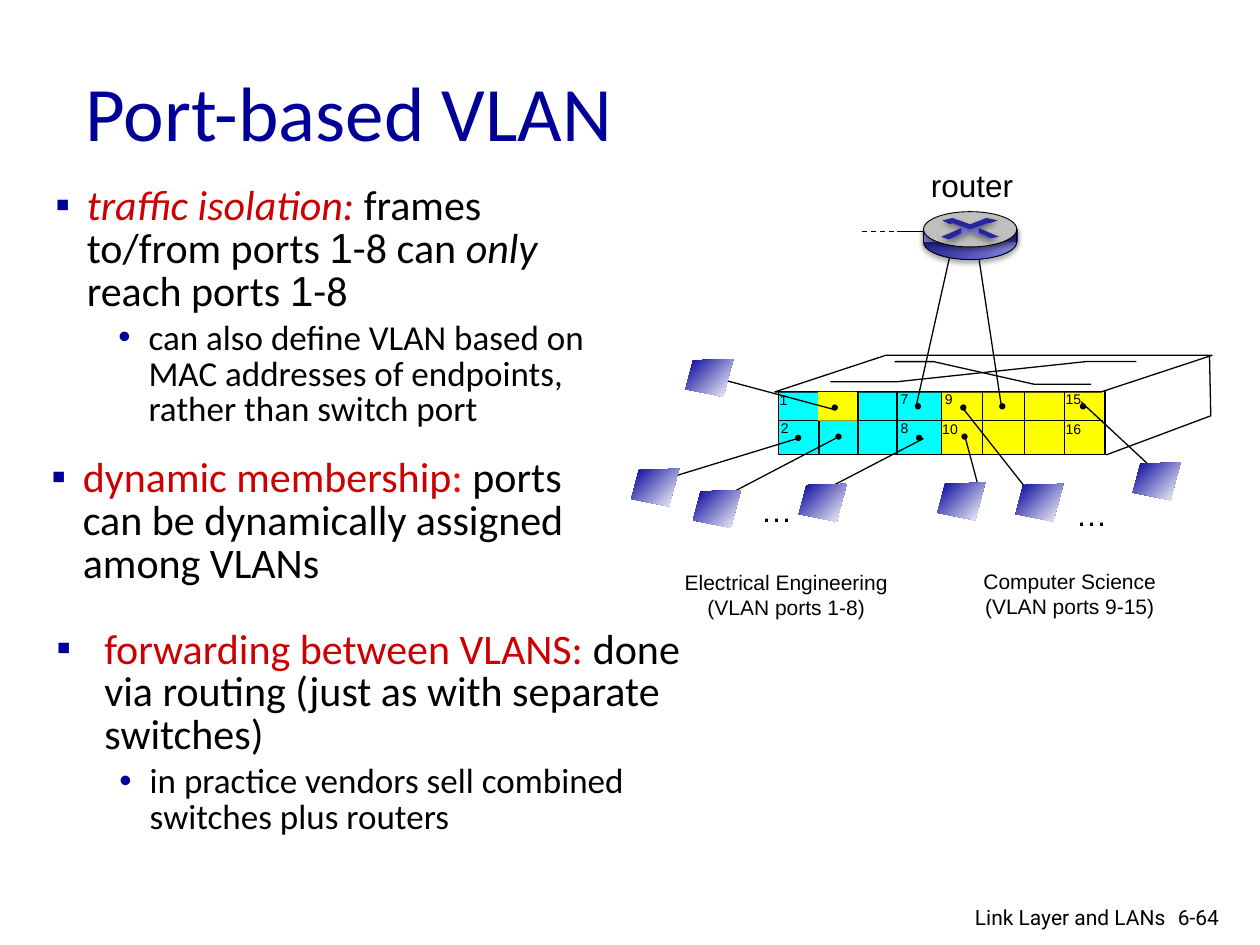
from lxml.etree import SubElement
from pptx import Presentation
from pptx.dml.color import RGBColor
from pptx.enum.dml import MSO_LINE
from pptx.enum.shapes import MSO_CONNECTOR, MSO_SHAPE as SHAPE
from pptx.enum.text import MSO_ANCHOR, MSO_AUTO_SIZE as AUTO, PP_ALIGN as ALIGN
from pptx.oxml.ns import qn
from pptx.util import Inches, Pt

THEME = {
    "navy": "000099", "red": "CC0000", "bright red": "FF0000", "black": "000000",
    "white": "FFFFFF", "cyan": "00FFFF", "yellow": "FFFF00", "grey": "BFBFBF",
    "indigo": "262699", "lilac": "8585E0",
    "title": 44, "body": 24, "detail": 20, "label": 18, "caption": 12, "port": 8,
    "text font": "Calibri", "label font": "Arial", "footer font": "Roboto",
}

presentation = Presentation()
presentation.slide_width, presentation.slide_height = Inches(10), Inches(7.5)
slide = presentation.slides.add_slide(presentation.slide_layouts[5])
shapes = slide.shapes

# Grid: 100 columns by 75 rows
column = presentation.slide_width // 100
row = presentation.slide_height // 75


def draw(kind, points, fill=None, line=None, width=0.75, angle=0, shadow=False):
    """Kind is "line", "path", "area" or a preset; points are grid pairs."""
    places = [(round(x * column), round(y * row)) for x, y in points]
    if kind == "line":
        shape = shapes.add_connector(MSO_CONNECTOR.STRAIGHT, *places[0], *places[1])
    elif kind in ("path", "area"):
        builder = shapes.build_freeform(*places[0])
        builder.add_line_segments(places[1:], close=kind == "area")
        shape = builder.convert_to_shape()
    else:
        shape = shapes.add_shape(kind, *places[0], *places[1])
    if isinstance(fill, tuple):
        shape.fill.gradient()
        shape.fill.gradient_angle = angle
        for stop, name in zip(shape.fill.gradient_stops, fill):
            stop.color.rgb = RGBColor.from_string(THEME[name])
    elif fill:
        shape.fill.solid()
        shape.fill.fore_color.rgb = RGBColor.from_string(THEME[fill])
    elif kind != "line":
        shape.fill.background()
    if line:
        shape.line.color.rgb = RGBColor.from_string(THEME[line])
        shape.line.width = Pt(width)
    else:
        shape.line.fill.background()
    effects = SubElement(shape._element.spPr, qn("a:effectLst"))
    if shadow:
        outer = SubElement(effects, qn("a:outerShdw"), blurRad=str(Pt(3.1)),
                           dist=str(Pt(1.8)), dir="5400000", rotWithShape="0")
        color = SubElement(outer, qn("a:srgbClr"), val=THEME["black"])
        SubElement(color, qn("a:alpha"), val="35000")
    return shape


def write(paragraph, runs, font, size):
    """Runs are (text, colour name, changes to the font)."""
    for text, color, changes in runs:
        run = paragraph.add_run()
        run.text = text
        values = {"name": THEME[font], "size": Pt(THEME[size]), **changes}
        for name, value in values.items():
            setattr(run.font, name, value)
        run.font.color.rgb = RGBColor.from_string(THEME[color])


# Title
title = shapes.title
for name, value in {"left": round(5.8 * column), "top": round(2.5 * row),
                    "width": 85 * column, "height": round(12.5 * row)}.items():
    setattr(title, name, value)
title.text_frame.auto_size = AUTO.NONE
title.text_frame.vertical_anchor = MSO_ANCHOR.MIDDLE
title.text_frame.paragraphs[0].alignment = ALIGN.LEFT
write(title.text_frame.paragraphs[0], [("Port-based VLAN", "navy", {})], "text font", "title")

# Switch: port cells, front frame and lid
for x, y, width, height, color in [
    (61.8, 31.1, 3.2, 5, "cyan"), (65, 31.1, 9.7, 5, "cyan"),
    (74.7, 31.1, 13, 5, "yellow"),
]:
    draw(SHAPE.RECTANGLE, [(x, y), (width, height)], color)
draw(SHAPE.RECTANGLE, [(61.8, 31), (25.9, 5.1)], line="black")
lid = draw(SHAPE.PARALLELOGRAM, [(61.5, 28.2), (34.7, 2.9)], "white", "black")
lid.adjustments[0] = 3.03
for outline in [
    [(87.8, 36.1), (96.1, 33), (96, 28.2)],
    [(65.9, 30.3), (71.2, 30.3), (86.2, 28.7), (90.2, 28.7)],
    [(71, 28.7), (74.1, 28.7), (82.1, 30.5), (86.6, 30.5)],
]:
    draw("path", outline, line="black")
draw("line", [(61.8, 33.4), (87.5, 33.4)], line="black")
for x in (61.8, 65, 68.1, 71.2, 74.7, 78, 81.3, 84.5):
    draw("line", [(x, 31.1), (x, 36.1)], line="black")
draw(SHAPE.RECTANGLE, [(64.9, 31.1), (3.1, 2.3)], "yellow")

# Hosts: computer corner, cable from port to computer, port dot
for (x, y), start, end, dot in [
    ((50.1, 37.2), (63.3, 34.8), (53.5, 37.8), (63.1, 34.5)),
    ((55, 38.9), (66.5, 34.7), (57.7, 39.3), (66.3, 34.4)),
    ((63.4, 38.4), (73.3, 34.8), (65.6, 38.8), (72.7, 34.5)),
    ((74.4, 38.3), (76.6, 34.7), (77.7, 38.8), (76.3, 34.4)),
    ((80.6, 38.4), (76.5, 32.5), (81.7, 39.1), (76.2, 32.1)),
    ((89.9, 36.7), (85.8, 31.9), (91.5, 37.2), (85.7, 32)),
    ((54.4, 28.5), (66.2, 32.5), (57.6, 30.2), (66, 32.1)),
]:
    draw("line", [start, end], line="black")
    draw(SHAPE.OVAL, [dot, (0.5, 0.5)], "black")
    corners = [(3.8, 0), (0.6, 0.1), (0, 2.4), (3, 3)]
    draw("area", [(x + dx, y + dy) for dx, dy in corners], ("navy", "white"), angle=315)

# Router cables
for dot, start, end in [
    ((72.6, 32), (72.7, 32.3), (75.5, 19.8)),
    ((79.3, 32), (79.5, 32.4), (77.6, 19.9)),
]:
    draw(SHAPE.OVAL, [dot, (0.5, 0.5)], "black")
    draw("line", [start, end], line="black")
draw("line", [(71.2, 18.4), (74, 18.4)], line="black")
uplink = draw("line", [(68.4, 18.4), (71.1, 18.4)], line="black")
uplink.line.dash_style = MSO_LINE.DASH

# Router body and its crossed arrows
side = ("indigo", "lilac")
cross = [(77, 18.4), (75.6, 19), (75.2, 18.9), (76.3, 18.5), (76.3, 18.1), (75.4, 17.7),
         (75.7, 17.7), (77, 18.2), (78.3, 17.6), (78.6, 17.7), (77.7, 18.1), (77.9, 18.6),
         (78.8, 18.9), (78.5, 19)]
upper = [(74.8, 17.5), (75.6, 17.3), (77, 17.8), (78.3, 17.3), (79.2, 17.5), (78.6, 17.7),
         (78.4, 17.7), (77, 18.2), (75.6, 17.7), (75.4, 17.8)]
right = [(77.7, 18.1), (79.3, 18.8), (78.7, 18.9), (77.7, 18.5)]
left = [(76.3, 18.1), (76.3, 18.5), (75.3, 19), (74.7, 18.8)]
for kind, points, fill, line in [
    (SHAPE.OVAL, [(73.3, 17.8), (7.4, 2.8)], side, "black"),
    (SHAPE.RECTANGLE, [(73.3, 18.2), (7.5, 1)], side, None),
    (SHAPE.OVAL, [(73.3, 16.8), (7.4, 2.8)], "grey", "black"),
    ("area", cross, "lilac", None), ("area", upper, "indigo", None),
    ("area", right, "indigo", None), ("area", left, "indigo", None),
    ("line", [(73.3, 19.3), (73.3, 18.2)], None, "black"),
    ("line", [(80.7, 19.2), (80.7, 18.2)], None, "black"),
]:
    draw(kind, points, fill, line, 0.5, 180 if kind == SHAPE.RECTANGLE else 0, True)

# Labels and footer
for x, y, width, height, lines, size, font, align in [
    (60.9, 30.6, 2.7, 2.3, ["1"], "port", "label font", ALIGN.LEFT),
    (61, 32.8, 2.7, 2.3, ["2"], "port", "label font", ALIGN.LEFT),
    (70.5, 30.5, 2.7, 2.3, ["7"], "port", "label font", ALIGN.LEFT),
    (70.5, 32.8, 2.7, 2.3, ["8"], "port", "label font", ALIGN.LEFT),
    (74, 30.5, 2.7, 2.3, ["9"], "port", "label font", ALIGN.LEFT),
    (73.8, 32.9, 3.4, 2.3, ["10"], "port", "label font", ALIGN.LEFT),
    (83.6, 30.5, 3.4, 2.3, ["15"], "port", "label font", ALIGN.LEFT),
    (83.6, 32.9, 3.4, 2.3, ["16"], "port", "label font", ALIGN.LEFT),
    (59.4, 38.5, 4.6, 4, ["…"], "label", "label font", ALIGN.LEFT),
    (84.4, 38.8, 4.6, 4, ["…"], "label", "label font", ALIGN.LEFT),
    (72.9, 12.7, 8.6, 4, ["router"], "label", "label font", ALIGN.LEFT),
    (53.3, 44.7, 18.2, 5, ["Electrical Engineering", "(VLAN ports 1-8)"],
     "caption", "label font", ALIGN.CENTER),
    (77, 44.6, 15.8, 5, ["Computer Science", "(VLAN ports 9-15)"],
     "caption", "label font", ALIGN.CENTER),
    (69.7, 71.3, 23.8, 2.6, ["Link Layer and LANs"], "caption", "footer font", ALIGN.RIGHT),
    (92.5, 71.3, 6, 3, ["6-64"], "caption", "footer font", ALIGN.LEFT),
]:
    box = shapes.add_textbox(*map(round, (x * column, y * row, width * column, height * row)))
    frame = box.text_frame
    frame.word_wrap = font == "footer font"
    frame.auto_size = AUTO.NONE if frame.word_wrap else AUTO.SHAPE_TO_FIT_TEXT
    for number, text in enumerate(lines):
        paragraph = frame.add_paragraph() if number else frame.paragraphs[0]
        paragraph.alignment = align
        write(paragraph, [(text, "black", {})], font, size)

# Bulleted text: a main point, then an optional detail
arial, italic = {"name": THEME["label font"]}, {"italic": True}
for x, y, width, height, indent, runs, detail in [
    (3.4, 14.3, 46.5, 19.3, 0.25,
     [("traffic isolation: ", "red", italic), ("frames to/from ports ", "black", {}),
      ("1", "black", arial), ("-8 can ", "black", {}), ("only", "black", italic),
      (" reach ports ", "black", {}), ("1", "black", arial), ("-8", "black", {})],
     "can also define VLAN based on MAC addresses of endpoints, rather than switch port"),
    (3.1, 35.9, 44.4, 17.6, 0.25,
     [("dynamic membership", "red", {}), (":", "bright red", {}),
      (" ports can be dynamically assigned among VLANs", "black", {})], None),
    (3.5, 49.5, 54.6, 17.6, 0.38,
     [("forwarding between VLANS: ", "red", {}),
      ("done via routing (just as with separate switches)", "black", {})],
     "in practice vendors sell combined switches plus routers"),
]:
    box = shapes.add_textbox(*map(round, (x * column, y * row, width * column, height * row)))
    frame = box.text_frame
    frame.word_wrap = True
    points = [(runs, "body", "▪", indent, indent)]
    if detail:
        points.append(([(detail, "black", {})], "detail", "•", 0.74, 0.24))
    for level, (pieces, size, bullet, margin, hanging) in enumerate(points):
        paragraph = frame.add_paragraph() if level else frame.paragraphs[0]
        paragraph.level = level
        paragraph.line_spacing = 0.85
        paragraph.space_before = Pt(4 * level)
        properties = paragraph._p.get_or_add_pPr()
        properties.set("marL", str(Inches(margin)))
        properties.set("indent", str(-Inches(hanging)))
        color = SubElement(properties, qn("a:buClr"))
        SubElement(color, qn("a:srgbClr"), val=THEME["navy"])
        SubElement(properties, qn("a:buFont"), typeface=THEME["label font"])
        SubElement(properties, qn("a:buChar"), char=bullet)
        write(paragraph, pieces, "text font", size)

presentation.save("out.pptx")
